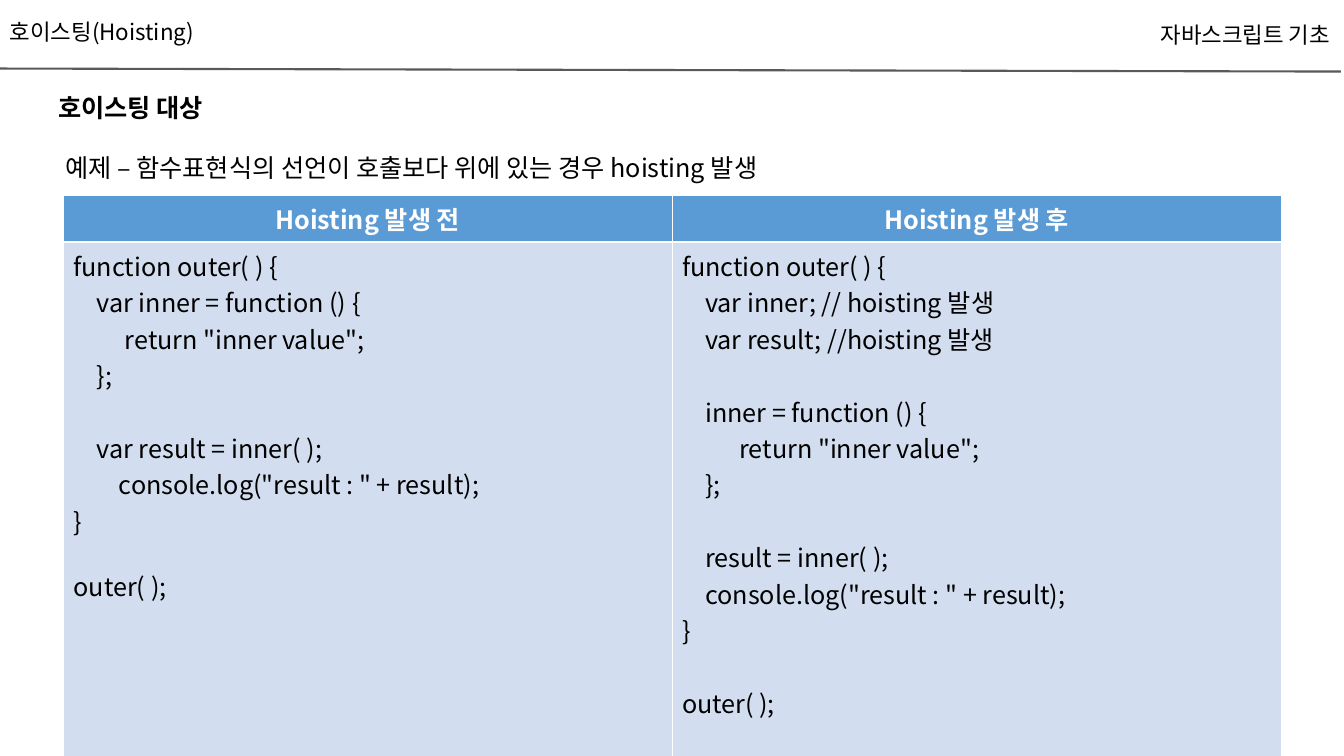
from lxml import etree
from pptx import Presentation, util as u
from pptx.dml.color import RGBColor
from pptx.enum import shapes, text
from pptx.oxml.ns import qn

PX = 9144  # 100 px to the inch
FONT = "Noto Sans CJK KR"
BLACK = RGBColor(0x00, 0x00, 0x00)
WHITE = RGBColor(0xFF, 0xFF, 0xFF)
GRAY = RGBColor(0x59, 0x59, 0x59)
BLUE = RGBColor(0x5B, 0x9B, 0xD5)
PALE = RGBColor(0xD2, 0xDE, 0xEF)
LEFT, CENTER, RIGHT = text.PP_ALIGN.LEFT, text.PP_ALIGN.CENTER, text.PP_ALIGN.RIGHT

HEADS = ["Hoisting 발생 전", "Hoisting 발생 후"]
# Each code line: words, indent in px, gap above in points
BEFORE = [
    ("function outer( ) {", 0, 0),
    ("var inner = function () {", 23, 0),
    ('return "inner value";', 51, 0),
    ("};", 23, 0),
    ("var result = inner( );", 23, 26),
    ('console.log("result : " + result);', 45, 0),
    ("}", 0, 0),
    ("outer( );", 0, 20.5),
]
AFTER = [
    ("function outer( ) {", 0, 0),
    ("var inner; // hoisting 발생", 23, 0),
    ("var result; //hoisting 발생", 23, 0),
    ("inner = function () {", 23, 26),
    ('return "inner value";', 57, 0),
    ("};", 23, 0),
    ("result = inner( );", 23, 26),
    ('console.log("result : " + result);', 23, 0),
    ("}", 0, 0),
    ("outer( );", 0, 26),
]


def px(*vals):
    return [u.Emu(v * PX) for v in vals]


def write(frame, words, size=18, color=BLACK, bold=False, align=LEFT,
          indent=0, gap=0, lead=1.0):
    """Fill the empty first paragraph, or add one after the last."""
    para = frame.paragraphs[-1]
    if para.runs:
        para = frame.add_paragraph()
    para.alignment = align
    para.space_before = u.Pt(gap)
    para.line_spacing = lead
    para._p.get_or_add_pPr().set("marL", str(indent * PX))
    run = para.add_run()
    run.text = words
    font = run.font
    font.name, font.size, font.bold = FONT, u.Pt(size), bold
    font.color.rgb = color
    etree.SubElement(run._r.get_or_add_rPr(), qn("a:ea")).set("typeface", FONT)


def label(slide, box, words, **form):
    frame = slide.shapes.add_textbox(*px(*box)).text_frame
    frame.word_wrap = True
    frame.vertical_anchor = text.MSO_ANCHOR.MIDDLE
    write(frame, words, size=16, lead=0.9, **form)


def rule(slide, ends):
    line = slide.shapes.add_connector(shapes.MSO_CONNECTOR.STRAIGHT, *px(*ends))
    line.line.color.rgb = GRAY
    line.line.width = u.Pt(1.5)
    etree.SubElement(line._element.spPr, qn("a:effectLst"))


def panel(slide, box):
    rect = slide.shapes.add_shape(shapes.MSO_SHAPE.RECTANGLE, *px(*box))
    rect.shadow.inherit = False
    rect.fill.background()
    rect.line.color.rgb = WHITE
    rect.line.width = u.Pt(0.75)
    frame = rect.text_frame
    frame.word_wrap = True
    frame.vertical_anchor = text.MSO_ANCHOR.TOP
    return frame


def paint(cell, fill, top, base):
    """Fill a cell and edge it in white; top and base are widths in points."""
    cell.fill.solid()
    cell.fill.fore_color.rgb = fill
    props = cell._tc.get_or_add_tcPr()
    edges = [("L", 0.45), ("R", 0.45), ("T", top), ("B", base)]
    for spot, (side, width) in enumerate(edges):
        edge = etree.Element(qn("a:ln" + side), w=str(u.Pt(width)))
        solid = etree.SubElement(edge, qn("a:solidFill"))
        etree.SubElement(solid, qn("a:srgbClr")).set("val", str(WHITE))
        props.insert(spot, edge)


def grid(slide, spot, cols, rows):
    box = (*spot, sum(cols), sum(rows))
    table = slide.shapes.add_table(2, 2, *px(*box)).table
    table.first_row = table.horz_banding = False
    for col, width in zip(table.columns, px(*cols)):
        col.width = width
    for row, height in zip(table.rows, px(*rows)):
        row.height = height
    for col, (head, code) in enumerate(zip(HEADS, [BEFORE, AFTER])):
        top, body = table.cell(0, col), table.cell(1, col)
        paint(top, BLUE, 0.45, 1.47)
        write(top.text_frame, head, color=WHITE, bold=True, align=CENTER)
        paint(body, PALE, 1.47, 0.45)
        for words, indent, gap in code:
            write(body.text_frame, words, indent=indent, gap=gap)


def main():
    deck = Presentation()
    deck.slide_width, deck.slide_height = px(1334, 750)
    slide = deck.slides.add_slide(deck.slide_layouts[6])
    frame = panel(slide, (48, 72, 1238, 600))
    write(frame, "호이스팅 대상", bold=True, gap=10, lead=1.5)
    write(frame, "예제 – 함수표현식의 선언이 호출보다 위에 있는 경우 hoisting 발생",
          indent=7, gap=10, lead=1.5)
    label(slide, (0, -1, 520, 68), "호이스팅(Hoisting)")
    rule(slide, (0, 68, 1331, 71))
    label(slide, (951, 2, 379, 68), "자바스크립트 기초", align=RIGHT)
    grid(slide, (63, 194), (604, 605), (46, 510))
    deck.save("out.pptx")


if __name__ == "__main__":
    main()
